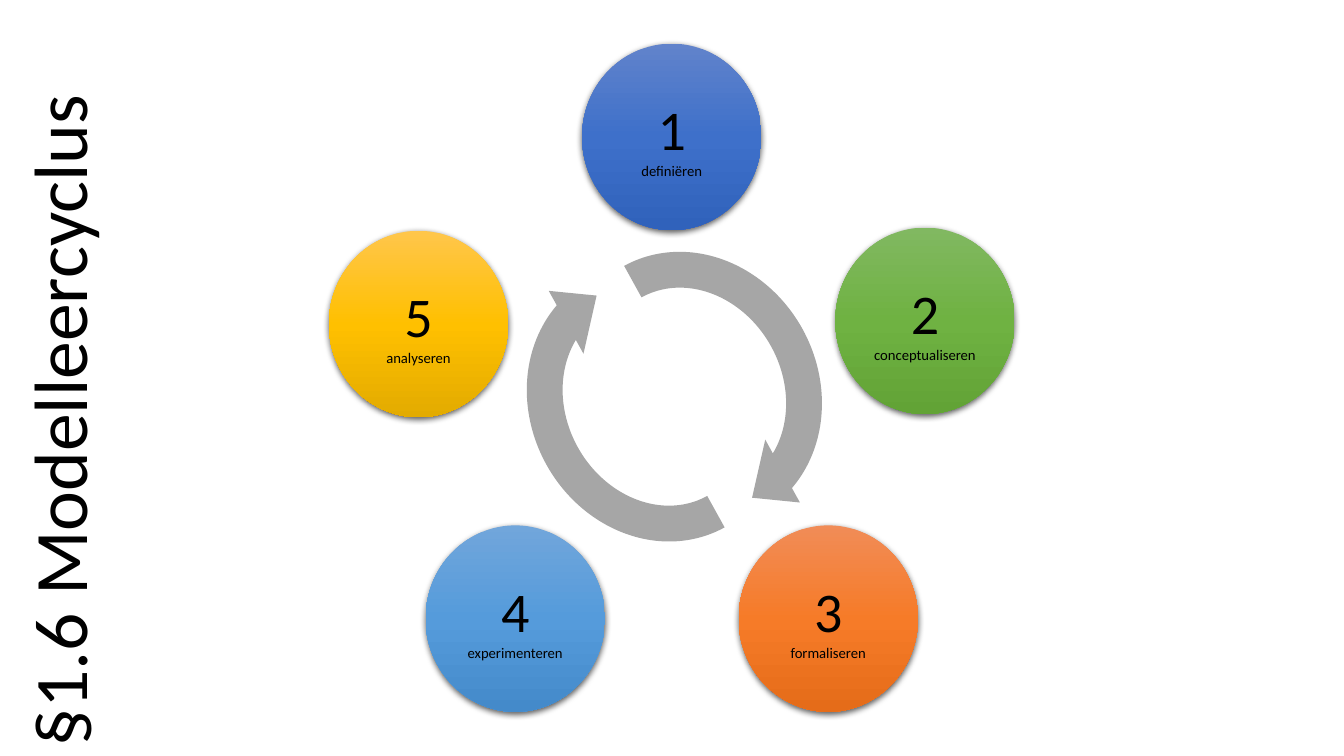
from copy import deepcopy
from dataclasses import dataclass
from math import cos, radians, sin

from lxml import etree
from pptx import Presentation
from pptx.dml.color import RGBColor
from pptx.enum.shapes import MSO_SHAPE
from pptx.enum.text import MSO_ANCHOR, PP_ALIGN
from pptx.oxml.ns import qn
from pptx.shapes.autoshape import Shape
from pptx.slide import Slide
from pptx.util import Cm, Pt

OVAL = MSO_SHAPE.OVAL
RECT = MSO_SHAPE.RECTANGLE
ARROW = MSO_SHAPE.CIRCULAR_ARROW
MIDDLE = MSO_ANCHOR.MIDDLE
LEFT = PP_ALIGN.LEFT
CENTER = PP_ALIGN.CENTER

FONT = "Calibri"
COLORS = {
    "text": "000000",
    "panel": "FFFFFF",
    "arrow": "A6A6A6",
    "blue": "6183CB 3E70CA 3062BB",
    "green": "81B861 6FB242 62A336",
    "orange": "F18C57 F67B28 E56C19",
    "sky": "71A6DB 559BDB 448ACA",
    "gold": "FFC64B FFC000 E3AB00",
}
# All lengths below are in centimetres.
MID_X, MID_Y, RADIUS = 16.93, 10.16, 6.71
STEP_W, STEP_H = 4.52, 4.7
ARROW_W, ARROW_H = 8.03, 7.24


@dataclass
class Step:
    label: str
    color: str
    drop: float = 0


@dataclass
class Turn:
    x: float
    y: float
    angle: float


STEPS = [
    Step("definiëren", "blue"),
    Step("conceptualiseren", "green"),
    Step("formaliseren", "orange"),
    Step("experimenteren", "sky"),
    Step("analyseren", "gold", 0.08),
]
TURNS = [Turn(17.45, 9.82, 61.1), Turn(16.54, 10.17, 241.1)]


def add_form(slide: Slide, kind: int, x: float, y: float, w: float, h: float) -> Shape:
    """Add a plain shape centred on x, y."""
    form = slide.shapes.add_shape(kind, Cm(x - w / 2), Cm(y - h / 2), Cm(w), Cm(h))
    form.line.fill.background()
    form.shadow.inherit = False
    return form


def fill_flat(form: Shape, color: str) -> None:
    form.fill.solid()
    form.fill.fore_color.rgb = RGBColor.from_string(COLORS[color])


def fill_fade(form: Shape, color: str) -> None:
    """Fill from top to bottom with three colours."""
    form.fill.gradient()
    form.fill.gradient_angle = 270
    stops = form._element.spPr.find(".//" + qn("a:gsLst"))
    stops.append(deepcopy(stops[-1]))
    for stop, place, tone in zip(form.fill.gradient_stops, (0, 0.5, 1), COLORS[color].split()):
        stop.position = place
        stop.color.rgb = RGBColor.from_string(tone)


def add_shade(form: Shape) -> None:
    """Cast a soft shadow straight down."""
    effects = form._element.spPr.find(qn("a:effectLst"))
    shade = etree.SubElement(effects, qn("a:outerShdw"), blurRad=str(Pt(4.5)),
                             dist=str(Pt(1.5)), dir="5400000", algn="ctr", rotWithShape="0")
    tone = etree.SubElement(shade, qn("a:srgbClr"), val="000000")
    etree.SubElement(tone, qn("a:alpha"), val="63000")


def write(form: Shape, lines: list[tuple[str, float]], align: int) -> None:
    frame = form.text_frame
    frame.word_wrap = True
    frame.vertical_anchor = MIDDLE
    for i, (text, size) in enumerate(lines):
        para = frame.add_paragraph() if i else frame.paragraphs[0]
        para.text = text
        para.alignment = align
        para.font.name = FONT
        para.font.size = Pt(size)
        para.font.color.rgb = RGBColor.from_string(COLORS["text"])


def add_title(slide: Slide) -> None:
    title = add_form(slide, RECT, 1.6, 9.53, 19.05, 3.2)
    title.rotation = 270
    fill_flat(title, "panel")
    tone = title._element.spPr.find(".//" + qn("a:srgbClr"))
    etree.SubElement(tone, qn("a:alpha"), val="80000")
    write(title, [("§1.6 Modelleercyclus", 54)], LEFT)
    title.text_frame.paragraphs[0].line_spacing = 0.9


def add_step(slide: Slide, index: int, step: Step) -> None:
    angle = radians(360 / len(STEPS) * index)
    x = MID_X + RADIUS * sin(angle)
    y = MID_Y - RADIUS * cos(angle) + step.drop
    disc = add_form(slide, OVAL, x, y, STEP_W, STEP_H)
    fill_fade(disc, step.color)
    add_shade(disc)
    write(disc, [(str(index + 1), 40), (step.label, 10.5)], CENTER)


def add_turn(slide: Slide, turn: Turn) -> None:
    arrow = add_form(slide, ARROW, turn.x, turn.y, ARROW_W, ARROW_H)
    arrow.rotation = turn.angle
    fill_flat(arrow, "arrow")


def main() -> None:
    deck = Presentation()
    deck.slide_width, deck.slide_height = Cm(33.87), Cm(19.05)
    slide = deck.slides.add_slide(deck.slide_layouts[6])
    add_title(slide)
    for index, step in enumerate(STEPS):
        add_step(slide, index, step)
    for turn in TURNS:
        add_turn(slide, turn)
    deck.save("out.pptx")


if __name__ == "__main__":
    main()
